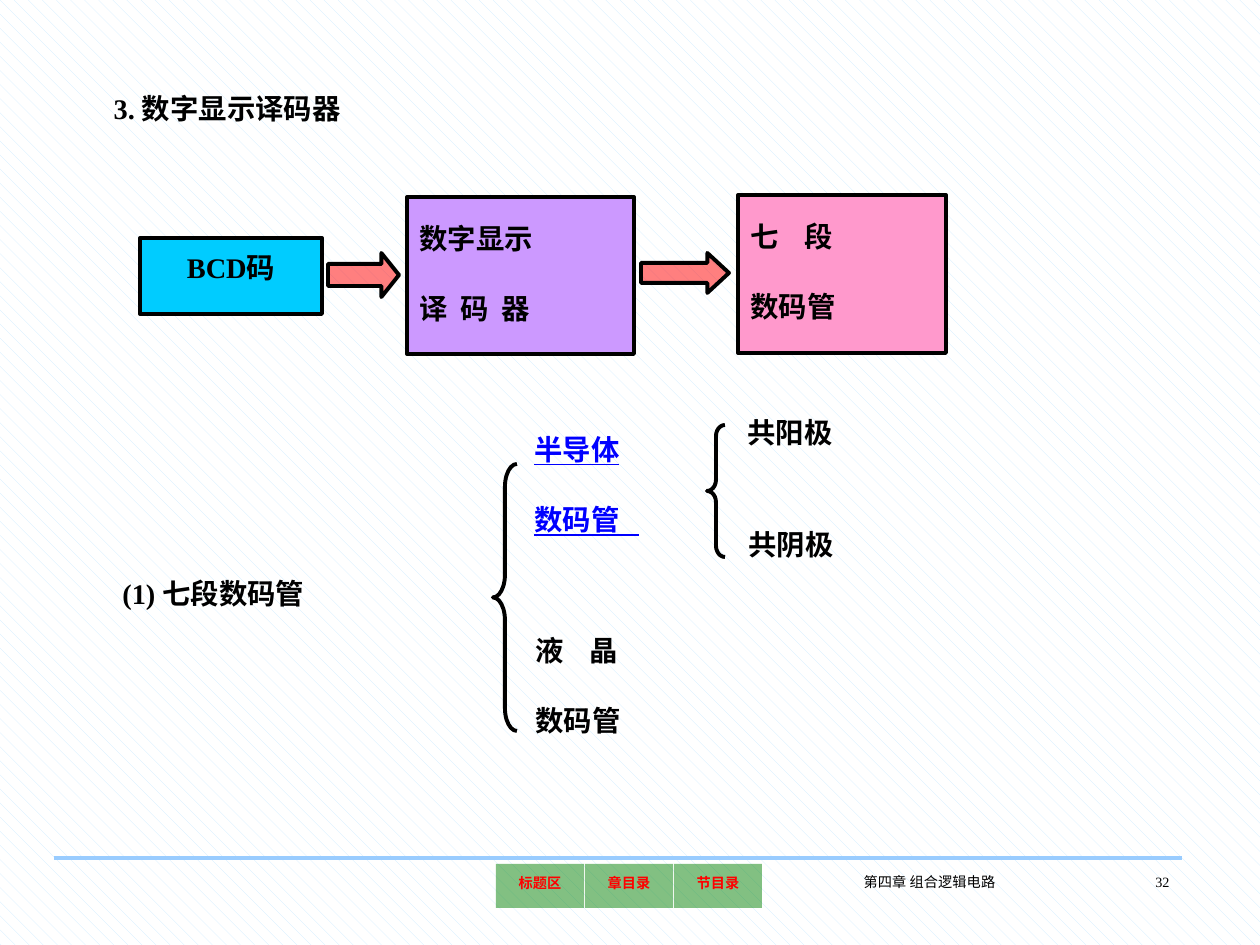
from pptx import Presentation
from pptx.dml.color import RGBColor
from pptx.enum.dml import MSO_PATTERN
from pptx.enum.shapes import MSO_CONNECTOR, MSO_SHAPE
from pptx.enum.text import MSO_ANCHOR, MSO_AUTO_SIZE, PP_ALIGN
from pptx.oxml.ns import qn
from pptx.util import Pt
from lxml.etree import SubElement

PX = 914400 / 126
C = {"black": "000000", "blue": "0000FF", "red": "FF0000", "green": "008000",
     "purple": "CC99FF", "cyan": "00CCFF", "pink": "FF99CC", "rule": "99CCFF",
     "hatch": "CCECFF", "white": "FFFFFF"}


def px(*values):
    return [round(v * PX) for v in values]


def rgb(name):
    return RGBColor.from_string(C[name])


def write(sp, lines, size=28, color="black", bold=True, underline=None,
          align=PP_ALIGN.LEFT, spacing=None, anchor=MSO_ANCHOR.TOP, wrap=True):
    tf = sp.text_frame
    tf.auto_size = MSO_AUTO_SIZE.NONE
    tf.word_wrap = wrap
    tf.vertical_anchor = anchor
    tf.text = "\n".join(lines)
    for p in tf.paragraphs:
        p.alignment = align
        if spacing:
            p.line_spacing = spacing
        f = p.font
        f.name, f.size, f.bold, f.underline = "Times New Roman", Pt(size), bold, underline
        f.color.rgb = rgb(color)
        # All text on this slide is set raised, which also reduces it
        p._p.pPr.find(qn("a:defRPr")).set("baseline", "30000")


def add_text(s, box, lines, **style):
    sp = s.shapes.add_textbox(*px(*box))
    write(sp, lines, **style)


def add_shape(s, kind, box, fill=None, alpha=None, outlined=True, adj=()):
    sp = s.shapes.add_shape(kind, *px(*box))
    sp.shadow.inherit = False
    if fill:
        sp.fill.solid()
        sp.fill.fore_color.rgb = rgb(fill)
        if alpha:
            color = sp.fill._xPr.find(qn("a:solidFill"))[0]
            SubElement(color, qn("a:alpha")).set("val", str(alpha * 1000))
    else:
        sp.fill.background()
    if outlined:
        sp.line.color.rgb = rgb("black")
        sp.line.width = Pt(2.25)
    else:
        sp.line.fill.background()
    for i, value in enumerate(adj):
        sp.adjustments[i] = value
    return sp


def set_background(s):
    fill = s.background.fill
    fill.patterned()
    fill.pattern = MSO_PATTERN.SHINGLE
    fill.fore_color.rgb = rgb("hatch")
    fill.back_color.rgb = rgb("white")


def set_title(s, box, text):
    title = s.shapes.title
    title.left, title.top, title.width, title.height = px(*box)
    write(title, [text])


def block_diagram(s, x, y):
    """Code, decoder and display blocks joined by block arrows."""
    code = add_shape(s, MSO_SHAPE.RECTANGLE, (x, y + 43, 182, 76), "cyan")
    write(code, ["BCD码"], align=PP_ALIGN.CENTER, wrap=False)
    blocks = [((267, 2, 227, 157), "purple", ["数字显示", "译  码  器"]),
              ((598, 0, 208, 158), "pink", ["七    段", "数码管"])]
    for (dx, dy, w, h), fill, lines in blocks:
        sp = add_shape(s, MSO_SHAPE.RECTANGLE, (x + dx, y + dy, w, h), fill)
        write(sp, lines, spacing=1.2)
    for dx, w, h, head in [(188, 71, 44, 0.4), (501, 88, 40, 0.54)]:
        add_shape(s, MSO_SHAPE.RIGHT_ARROW, (x + dx, y + 58, w, h), "red", 50,
                  adj=(0.5, head))


def display_types(s, x, y):
    """Tree of display tubes, branching at two braces."""
    add_text(s, (x, y + 161, 372, 72), ["(1) 七段数码管"])
    add_text(s, (x + 412, y + 5, 176, 154), ["半导体", "数码管   "],
             color="blue", underline=True, spacing=1.2)
    add_text(s, (x + 413, y + 206, 176, 154), ["液    晶", "数码管"], spacing=1.2)
    add_text(s, (x + 625, y, 176, 72), ["共阳极"])
    add_text(s, (x + 626, y + 112, 176, 72), ["共阴极"])
    for dx, dy, w, h, curve in [(383, 61, 24, 267, 0.95), (597, 22, 18, 132, 0.62)]:
        add_shape(s, MSO_SHAPE.LEFT_BRACE, (x + dx, y + dy, w, h), adj=(curve, 0.5))


def footer(s, x, y, w):
    rule = s.shapes.add_connector(MSO_CONNECTOR.STRAIGHT, *px(x, y, x + w, y))
    rule.line.color.rgb = rgb("rule")
    rule.line.width = Pt(2.25)
    SubElement(rule._element.spPr, qn("a:effectLst"))
    for i, label in enumerate(["标题区", "章目录", "节目录"]):
        sp = add_shape(s, MSO_SHAPE.ACTION_BUTTON_CUSTOM,
                       (x + 442 + 89 * i, y + 6, 88, 44), "green", 49, outlined=False)
        tf = sp.text_frame
        tf.margin_left = tf.margin_right = tf.margin_top = tf.margin_bottom = px(5)[0]
        write(sp, [label], size=14, color="red", align=PP_ALIGN.CENTER,
              anchor=MSO_ANCHOR.MIDDLE, wrap=False)
    add_text(s, (x + 732, y + 6, 287, 63), ["第四章 组合逻辑电路"], size=14,
             bold=False, align=PP_ALIGN.CENTER)
    add_text(s, (x + 1020, y + 6, 108, 63), ["32"], size=14, bold=False,
             align=PP_ALIGN.RIGHT)


def main():
    prs = Presentation()
    prs.slide_width, prs.slide_height = px(1260, 945)
    s = prs.slides.add_slide(prs.slide_layouts[5])
    set_background(s)
    set_title(s, (101, 79, 1058, 72), "3. 数字显示译码器")
    block_diagram(s, 140, 195)
    display_types(s, 110, 403)
    footer(s, 54, 858, 1128)
    prs.save("out.pptx")


if __name__ == "__main__":
    main()
